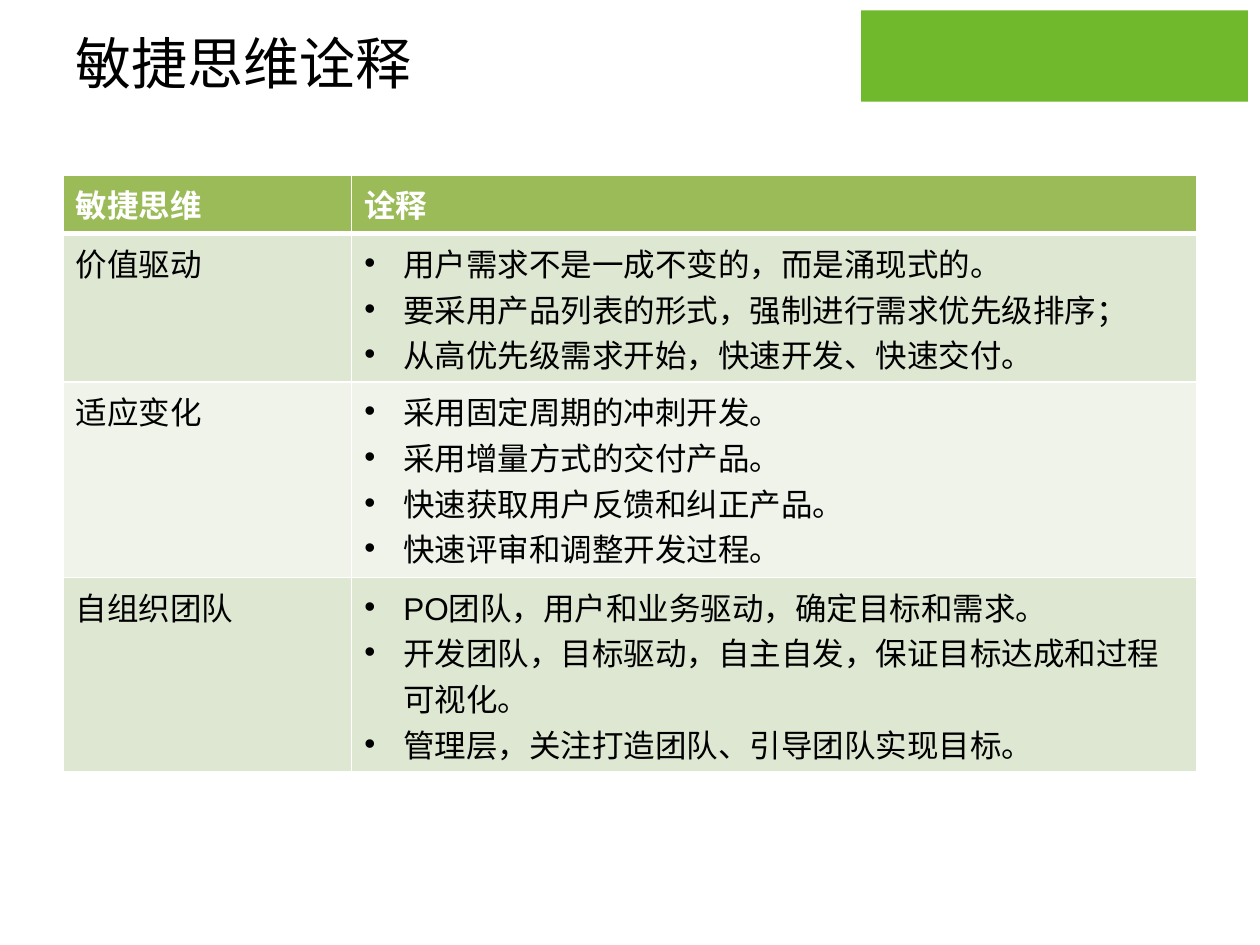
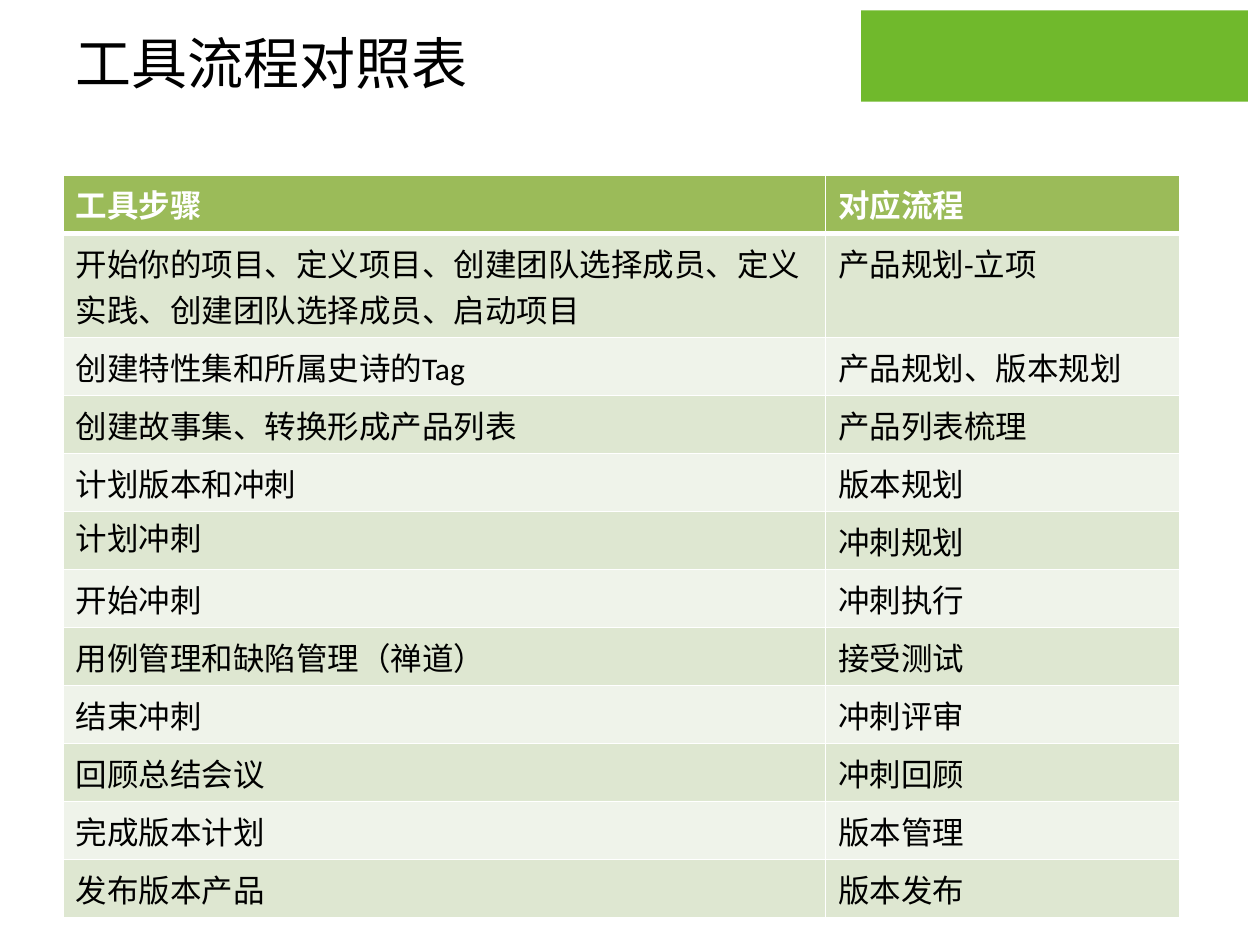
from lxml import etree
from pptx import Presentation
from pptx.dml.color import RGBColor
from pptx.enum.shapes import MSO_SHAPE
from pptx.enum.text import MSO_ANCHOR
from pptx.oxml.ns import qn
from pptx.util import Cm, Pt

RECT, MIDDLE = MSO_SHAPE.RECTANGLE, MSO_ANCHOR.MIDDLE
BLACK, WHITE, BAND = "000000", "FFFFFF", "70B92C"
HEAD, ODD, EVEN = "9BBB59", "DEE7D1", "EFF3EA"
HAN = "Noto Sans CJK SC"
LEFT, TOP = 1.27, 3.53

MIND = [
    ("敏捷思维", "诠释"),
    ("价值驱动", ["用户需求不是一成不变的，而是涌现式的。",
              "要采用产品列表的形式，强制进行需求优先级排序；",
              "从高优先级需求开始，快速开发、快速交付。"]),
    ("适应变化", ["采用固定周期的冲刺开发。",
              "采用增量方式的交付产品。",
              "快速获取用户反馈和纠正产品。",
              "快速评审和调整开发过程。"]),
    ("自组织团队", ["PO团队，用户和业务驱动，确定目标和需求。",
               "开发团队，目标驱动，自主自发，保证目标达成和过程可视化。",
               "管理层，关注打造团队、引导团队实现目标。"]),
]
STEPS = [
    ("工具步骤", "对应流程"),
    ("开始你的项目、定义项目、创建团队选择成员、定义实践、创建团队选择成员、启动项目",
     "产品规划-立项"),
    ("创建特性集和所属史诗的Tag", "产品规划、版本规划"),
    ("创建故事集、转换形成产品列表", "产品列表梳理"),
    ("计划版本和冲刺", "版本规划"),
    ("计划冲刺", "冲刺规划"),
    ("开始冲刺", "冲刺执行"),
    ("用例管理和缺陷管理（禅道）", "接受测试"),
    ("结束冲刺", "冲刺评审"),
    ("回顾总结会议", "冲刺回顾"),
    ("完成版本计划", "版本管理"),
    ("发布版本产品", "版本发布"),
]


def color(code):
    return RGBColor.from_string(code)


def style(para, size, face, code, bold=False):
    font = para.font
    font.size, font.name, font.bold = Pt(size), face, bold
    font.color.rgb = color(code)
    for run in para.runs:
        props = run._r.get_or_add_rPr()
        etree.SubElement(props, qn("a:ea"), typeface=HAN)


def bullet(para):
    props = para._p.get_or_add_pPr()
    props.set("marL", str(Cm(0.79)))
    props.set("indent", str(-Cm(0.79)))
    etree.SubElement(props, qn("a:buFont"), typeface="Arial")
    etree.SubElement(props, qn("a:buChar"), char="•")


def border(cell, widths):
    """Draw white edges; widths maps L, R, T, B to points."""
    props = cell._tc.get_or_add_tcPr()
    for side, width in widths.items():
        line = etree.SubElement(props, qn(f"a:ln{side}"), w=str(Pt(width)))
        fill = etree.SubElement(line, qn("a:solidFill"))
        etree.SubElement(fill, qn("a:srgbClr"), val=WHITE)


def add_page(deck, title):
    page = deck.slides.add_slide(deck.slide_layouts[6])
    # Corner band
    band = page.shapes.add_shape(RECT, Cm(17.36), Cm(0.21), Cm(7.8), Cm(1.84))
    band.shadow.inherit = False
    band.fill.solid()
    band.fill.fore_color.rgb = color(BAND)
    band.line.fill.background()
    # Title
    frame = page.shapes.add_textbox(Cm(LEFT), Cm(0.54), Cm(14.15), Cm(1.42)).text_frame
    frame.word_wrap = True
    frame.vertical_anchor = MIDDLE
    frame.text = title
    style(frame.paragraphs[0], 32, HAN, BLACK)
    return page


def fill_cell(cell, text, row, face):
    top, low = (3 if row == 1 else 1), (3 if row == 0 else 1)
    border(cell, {"L": 1, "R": 1, "T": top, "B": low})
    cell.fill.solid()
    cell.fill.fore_color.rgb = color(HEAD if row == 0 else ODD if row % 2 else EVEN)
    listed = isinstance(text, list)
    cell.text = "\n".join(text) if listed else text
    for para in cell.text_frame.paragraphs:
        if listed:
            bullet(para)
        if row == 0:
            style(para, 18, "Calibri", WHITE, True)
        else:
            style(para, 18, face, BLACK)


def add_grid(page, data, cols, rows, face):
    grid = page.shapes.add_table(len(data), len(cols), Cm(LEFT), Cm(TOP),
                                 Cm(sum(cols)), Cm(sum(rows))).table
    for col, width in zip(grid.columns, cols):
        col.width = Cm(width)
    for row, height in zip(grid.rows, rows):
        row.height = Cm(height)
    for r, texts in enumerate(data):
        for c, text in enumerate(texts):
            fill_cell(grid.cell(r, c), text, r, face)
    return grid


def main():
    deck = Presentation()
    deck.slide_width, deck.slide_height = Cm(25.4), Cm(19.05)

    page = add_page(deck, "敏捷思维诠释")
    add_grid(page, MIND, [5.82, 17.04], [1.18, 2.99, 3.94, 3.92], "Arial")

    page = add_page(deck, "工具流程对照表")
    rows = [1.18, 2.09] + [1.17] * 10
    grid = add_grid(page, STEPS, [15.37, 7.14], rows, "Calibri")
    # The sprint plan step is set tighter
    grid.cell(5, 0).text_frame.paragraphs[0].line_spacing = 0.9

    deck.save("out.pptx")


if __name__ == "__main__":
    main()
